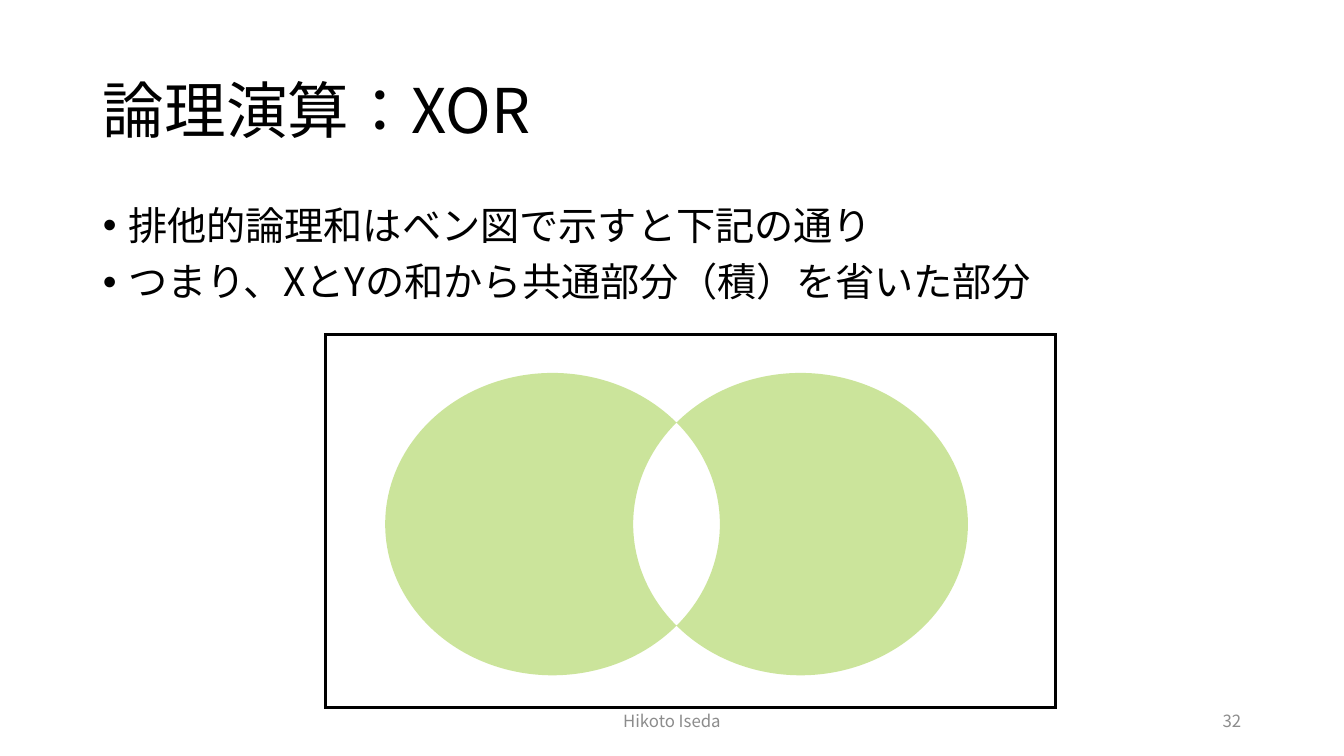
import math

import pptx
import pptx.dml.color
import pptx.enum.lang
import pptx.enum.shapes
import pptx.enum.text
import pptx.oxml
import pptx.oxml.ns
import pptx.util
from lxml import etree

W, H = 13.33, 7.5
MARGIN = 0.92
FONT = "Noto Sans CJK JP"
COLORS = {"text": "000000", "footer": "8C8C8C", "frame": "000000", "xor": "99CB38"}

PP = pptx.enum.text.PP_ALIGN
ANCHOR = pptx.enum.text.MSO_ANCHOR
qn = pptx.oxml.ns.qn


def rgb(name):
    return pptx.dml.color.RGBColor.from_string(COLORS[name])


def place(sp, left, top, width, height):
    sp.left, sp.top, sp.width, sp.height = map(
        pptx.util.Inches, (left, top, width, height))


def format_text(tf, size, color, align, anchor, spacing=1.0):
    tf.word_wrap = True
    tf.auto_size = pptx.enum.text.MSO_AUTO_SIZE.NONE
    tf.vertical_anchor = anchor
    for p in tf.paragraphs:
        p.alignment = align
        p.line_spacing = spacing
        p.space_before = pptx.util.Pt(0)
        for r in p.runs:
            r.font.size = pptx.util.Pt(size)
            r.font.name = FONT
            r.font.language_id = pptx.enum.lang.MSO_LANGUAGE_ID.JAPANESE
            r.font.color.rgb = rgb(color)
            ea = etree.SubElement(r.font._element, qn("a:ea"))
            ea.set("typeface", FONT)


def add_title(s, text):
    sp = s.shapes.title
    place(sp, MARGIN, 0.4, W - 2 * MARGIN, 1.45)
    sp.text_frame.text = text
    format_text(sp.text_frame, 44, "text", PP.LEFT, ANCHOR.MIDDLE, 0.9)


def add_bullets(s, lines):
    sp = s.placeholders[1]
    place(sp, MARGIN, 2, W - 2 * MARGIN, 4.76)
    tf = sp.text_frame
    tf.text = "\n".join(lines)
    indent = pptx.util.Inches(0.25)
    for p in tf.paragraphs:
        pPr = p._p.get_or_add_pPr()
        pPr.set("marL", str(indent))
        pPr.set("indent", str(-indent))
        etree.SubElement(pPr, qn("a:buFont")).set("typeface", "Arial")
        etree.SubElement(pPr, qn("a:buChar")).set("char", "•")
    format_text(tf, 28, "text", PP.LEFT, ANCHOR.TOP, 0.9)
    for p in tf.paragraphs[1:]:
        p.space_before = pptx.util.Pt(10)


def add_footer(s, text, left, width, align):
    sp = s.shapes.add_textbox(0, 0, 0, 0)
    place(sp, left, 6.95, width, 0.4)
    sp.text_frame.text = text
    format_text(sp.text_frame, 12, "footer", align, ANCHOR.MIDDLE)


def add_frame(s, left, top, width, height):
    sp = s.shapes.add_shape(pptx.enum.shapes.MSO_SHAPE.RECTANGLE, 0, 0, 0, 0)
    place(sp, left, top, width, height)
    sp.shadow.inherit = False
    sp.fill.background()
    sp.line.color.rgb = rgb("frame")
    sp.line.width = pptx.util.Pt(2.25)
    etree.SubElement(sp.line._get_or_add_ln(), qn("a:miter")).set("lim", "800000")


def arc(cx, cy, rx, ry, start, end, pieces):
    """Return Bézier triples (two handles and an end point) along an ellipse."""
    step = (end - start) / pieces
    k = 4 / 3 * math.tan(step / 4)

    def point(a, pull):
        return (cx + rx * (math.cos(a) - pull * math.sin(a)),
                cy + ry * (math.sin(a) + pull * math.cos(a)))

    angles = [start + step * i for i in range(pieces + 1)]
    return [(point(a, k), point(b, -k), point(b, 0))
            for a, b in zip(angles, angles[1:])]


def add_command(outline, name, points=()):
    command = etree.SubElement(outline, qn(name))
    for x, y in points:
        pt = etree.SubElement(command, qn("a:pt"))
        pt.set("x", str(pptx.util.Inches(x)))
        pt.set("y", str(pptx.util.Inches(y)))


def add_xor_region(s, left, top, rx, ry, offset):
    """Fill two ellipses, centred offset either side of the middle, except their overlap."""
    mid = rx + offset
    width, height = 2 * mid, 2 * ry
    cross = math.acos(offset / rx)
    crescent = (
        arc(rx, ry, rx, ry, cross, 2 * math.pi - cross, 4)
        + arc(mid + offset, ry, rx, ry, math.pi + cross, math.pi - cross, 2))
    mirrored = [[(width - x, y) for x, y in curve] for curve in crescent]

    builder = s.shapes.build_freeform(0, 0, scale=pptx.util.Inches(1) / 100)
    builder.add_line_segments([(100 * width, 0), (100 * width, 100 * height),
                               (0, 100 * height)])
    sp = builder.convert_to_shape()
    place(sp, left, top, width, height)
    outline = next(sp._element.iter(qn("a:path")))
    for command in list(outline):
        outline.remove(command)
    outline.set("w", str(pptx.util.Inches(width)))
    outline.set("h", str(pptx.util.Inches(height)))
    for curves in (crescent, mirrored):
        add_command(outline, "a:moveTo", [curves[-1][-1]])
        for curve in curves:
            add_command(outline, "a:cubicBezTo", curve)
        add_command(outline, "a:close")

    sp.shadow.inherit = False
    sp.line.fill.background()
    sp.fill.solid()
    sp.fill.fore_color.rgb = rgb("xor")
    color = sp._element.spPr.find(qn("a:solidFill")).find(qn("a:srgbClr"))
    etree.SubElement(color, qn("a:alpha")).set("val", "50000")


def main():
    prs = pptx.Presentation()
    prs.slide_width = pptx.util.Inches(W)
    prs.slide_height = pptx.util.Inches(H)
    s = prs.slides.add_slide(prs.slide_layouts[1])

    add_title(s, "論理演算：XOR")
    add_bullets(s, ["排他的論理和はベン図で示すと下記の通り",
                    "つまり、XとYの和から共通部分（積）を省いた部分"])
    add_footer(s, "Hikoto Iseda", (W - 4.5) / 2, 4.5, PP.CENTER)
    add_footer(s, "32", W - MARGIN - 3, 3, PP.RIGHT)
    add_frame(s, 3.23, 3.32, 7.24, 3.7)
    add_xor_region(s, left=3.82, top=3.7, rx=1.66, ry=1.5, offset=1.23)

    prs.save("out.pptx")


if __name__ == "__main__":
    main()
